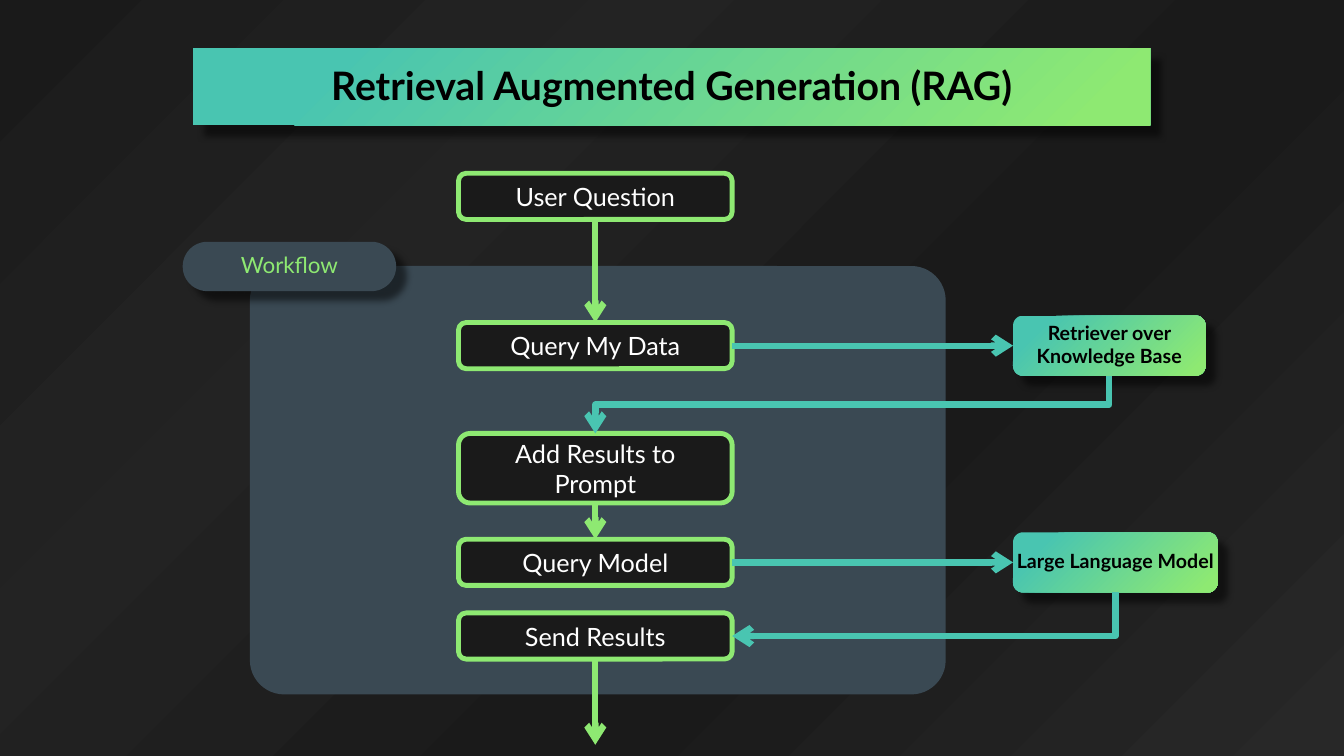
"""Build a slide that shows the flow of retrieval augmented generation."""
from dataclasses import dataclass

from lxml import etree
from pptx import Presentation
from pptx.dml.color import RGBColor
from pptx.enum.shapes import MSO_CONNECTOR, MSO_SHAPE
from pptx.enum.text import MSO_ANCHOR, PP_ALIGN
from pptx.oxml.ns import qn
from pptx.util import Pt

ROUND = MSO_SHAPE.ROUNDED_RECTANGLE
STRAIGHT, ELBOW = MSO_CONNECTOR.STRAIGHT, MSO_CONNECTOR.ELBOW
MIDDLE, CENTER = MSO_ANCHOR.MIDDLE, PP_ALIGN.CENTER
TOP, LEFT, BOTTOM, RIGHT = range(4)


@dataclass(frozen=True)
class Theme:
    font: str = "Lato"
    dark: str = "1A1A1A"
    slate: str = "3A4953"
    green: str = "8EE972"
    teal: str = "49C5B1"
    black: str = "000000"
    white: str = "FFFFFF"
    head: int = 28
    step: int = 18
    tag: int = 16
    side: int = 14
    edge: float = 3.5
    link: float = 4.5


THEME = Theme()
TITLE = "Retrieval Augmented Generation (RAG)"
TITLE_BOX = (138, 34.5, 683.5, 55)
PANEL_BOX = (178.5, 190, 497, 306)
TAG = "Workflow"
TAG_BOX = (130.5, 172.7, 152.5, 35.3)
STEP_X, STEP_W = 327.5, 195.5
STEPS = {
    "User Question": (123.8, 33),
    "Query My Data": (230.4, 33),
    "Add Results to Prompt": (309.6, 49.7),
    "Query Model": (385.2, 33),
    "Send Results": (437.8, 33),
}
SIDE_X, SIDE_H = 723.6, 43
SIDES = {
    "Retriever over Knowledge Base": ("Query My Data", 137.5),
    "Large Language Model": ("Query Model", 146.2),
}
DOWN = [
    ("User Question", "Query My Data"),
    ("Add Results to Prompt", "Query Model"),
]
BACK = [
    ("Retriever over Knowledge Base", "Add Results to Prompt", TOP, "bentConnector3"),
    ("Large Language Model", "Send Results", RIGHT, "bentConnector2"),
]
EXIT_Y = 532
BACKDROP = [(0, "1A1A1A"), (27, "222222"), (28, "232323"), (63, "1A1A1A"), (100, "282828")]
GLOW = [(6, THEME.green), (85, THEME.teal)]


def node(parent, tag, **attrs):
    item = etree.SubElement(parent, qn(tag))
    for key, value in attrs.items():
        item.set(key, str(value))
    return item


def blend(root, stops, round_fill):
    solid = root.find(".//" + qn("a:solidFill"))
    grad = etree.Element(qn("a:gradFill"))
    grad.set("rotWithShape", "1")
    group = node(grad, "a:gsLst")
    for place, color in stops:
        stop = node(group, "a:gs", pos=place * 1000)
        node(stop, "a:srgbClr", val=color)
    if round_fill:
        track = node(grad, "a:path")
        track.set("path", "circle")
        node(track, "a:fillToRect", l=100000, t=100000)
    else:
        node(grad, "a:lin", ang=45 * 60000, scaled=0)
    solid.getparent().replace(solid, grad)


def shade(shape):
    effects = shape._element.spPr.find(qn("a:effectLst"))
    drop = node(effects, "a:outerShdw", blurRad=Pt(5), dist=Pt(10),
                dir=45 * 60000, algn="tl", rotWithShape=0)
    color = node(drop, "a:srgbClr", val=THEME.black)
    node(color, "a:alpha", val=50000)


def paint(shape, fill, edge=None):
    shape.shadow.inherit = False
    shape.fill.solid()
    shape.fill.fore_color.rgb = RGBColor.from_string(fill)
    if edge:
        shape.line.color.rgb = RGBColor.from_string(edge)
        shape.line.width = Pt(THEME.edge)
    else:
        shape.line.fill.background()


def glow(shape):
    paint(shape, THEME.teal)
    blend(shape._element.spPr, GLOW, True)
    shade(shape)


def write(shape, text, size, color, bold=False, pads=(7.2, 3.6, 7.2, 3.6)):
    frame = shape.text_frame
    frame.text = text
    frame.word_wrap = True
    frame.vertical_anchor = MIDDLE
    (frame.margin_left, frame.margin_top,
     frame.margin_right, frame.margin_bottom) = map(Pt, pads)
    para = frame.paragraphs[0]
    para.alignment = CENTER
    para.font.name = THEME.font
    para.font.size = Pt(size)
    para.font.bold = bold
    para.font.color.rgb = RGBColor.from_string(color)
    return para


def block(slide, box, bend=None):
    shape = slide.shapes.add_shape(ROUND, *map(Pt, box))
    if bend is not None:
        shape.adjustments[0] = bend
    return shape


def arrow(slide, kind, color, start, side, end=None, port=None):
    x, y = start.left + start.width // 2, start.top + start.height
    line = slide.shapes.add_connector(kind, x, y, x, Pt(EXIT_Y))
    line.begin_connect(start, side)
    if end:
        line.end_connect(end, port)
    line.line.color.rgb = RGBColor.from_string(color)
    line.line.width = Pt(THEME.link)
    node(line.line._get_or_add_ln(), "a:tailEnd", type="arrow")
    node(line._element.spPr, "a:effectLst")
    return line


def turn(line, form):
    wide, high = line.width, line.height
    mid_x, mid_y = line.left + wide // 2, line.top + high // 2
    line.left, line.top = mid_x - high // 2, mid_y - wide // 2
    line.width, line.height = high, wide
    frame = line._element.spPr.find(qn("a:xfrm"))
    frame.attrib.pop("flipH", None)
    frame.set("rot", str(90 * 60000))
    line._element.spPr.find(qn("a:prstGeom")).set("prst", form)


def main():
    deck = Presentation()
    deck.slide_width, deck.slide_height = Pt(960), Pt(540)
    slide = deck.slides.add_slide(deck.slide_layouts[5])
    slide.background.fill.solid()
    blend(slide._element, BACKDROP, False)

    title = slide.shapes.title
    title.left, title.top, title.width, title.height = map(Pt, TITLE_BOX)
    glow(title)
    tight = (0, 1.5, 0, 3.6)
    write(title, TITLE, THEME.head, THEME.black, True, tight)
    paint(block(slide, PANEL_BOX, 0.08), THEME.slate)

    parts = {}
    for name, (top, high) in STEPS.items():
        parts[name] = block(slide, (STEP_X, top, STEP_W, high))
        paint(parts[name], THEME.dark, THEME.green)
        write(parts[name], name, THEME.step, THEME.white)
    for name, (step, wide) in SIDES.items():
        top, high = STEPS[step]
        parts[name] = block(slide, (SIDE_X, top + (high - SIDE_H) / 2, wide, SIDE_H))
        glow(parts[name])
        write(parts[name], name, THEME.side, THEME.black, True, tight)
        arrow(slide, STRAIGHT, THEME.teal, parts[step], RIGHT, parts[name], LEFT)

    for start, end in DOWN:
        arrow(slide, STRAIGHT, THEME.green, parts[start], BOTTOM, parts[end], TOP)
    arrow(slide, STRAIGHT, THEME.green, parts["Send Results"], BOTTOM)
    for start, end, port, form in BACK:
        line = arrow(slide, ELBOW, THEME.teal, parts[start], BOTTOM, parts[end], port)
        turn(line, form)

    tag = block(slide, TAG_BOX, 0.5)
    paint(tag, THEME.slate)
    shade(tag)
    write(tag, TAG, THEME.tag, THEME.green, pads=(8.6, 0, 8.6, 0)).line_spacing = 0.9
    deck.save("out.pptx")


if __name__ == "__main__":
    main()
